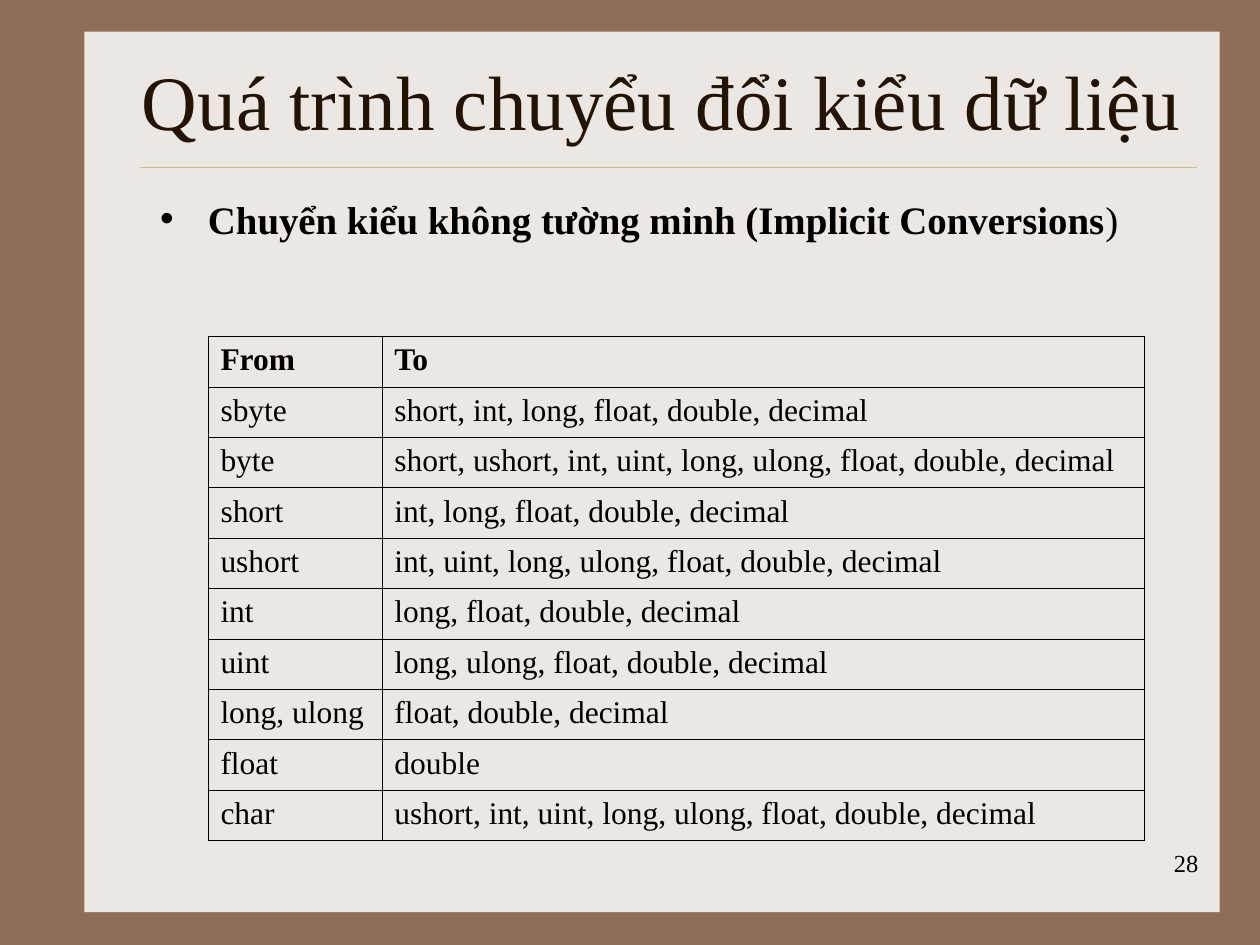
from lxml import etree
from pptx import Presentation
from pptx.dml.color import RGBColor
from pptx.enum.shapes import MSO_CONNECTOR, MSO_SHAPE
from pptx.enum.text import MSO_ANCHOR, MSO_AUTO_SIZE, PP_ALIGN
from pptx.oxml.ns import qn
from pptx.util import Inches, Pt

RECT = MSO_SHAPE.RECTANGLE
LINE = MSO_CONNECTOR.STRAIGHT
MID, TOP = MSO_ANCHOR.MIDDLE, MSO_ANCHOR.TOP
LEFT, MID_X, RIGHT = PP_ALIGN.LEFT, PP_ALIGN.CENTER, PP_ALIGN.RIGHT
FIXED = MSO_AUTO_SIZE.NONE
FONT = "Times New Roman"
HEX = {"back": "906D58", "panel": "EDE7E3", "rule": "CBBD83",
       "title": "221304", "text": "000000"}
COLOR = {name: RGBColor.from_string(code) for name, code in HEX.items()}


def place(shape, left, top, width, height):
    shape.left, shape.top = Inches(left), Inches(top)
    shape.width, shape.height = Inches(width), Inches(height)


def style(par, size, color="text", bold=False, align=LEFT):
    par.alignment = align
    for run in par.runs:
        run.font.name, run.font.size = FONT, Pt(size)
        run.font.bold, run.font.color.rgb = bold, COLOR[color]


prs = Presentation()
prs.slide_width, prs.slide_height = Inches(10), Inches(7.5)
slide = prs.slides.add_slide(prs.slide_layouts[1])
shapes = slide.shapes
slide.background.fill.solid()
slide.background.fill.fore_color.rgb = COLOR["back"]

# Panel and rule, behind the text
panel = shapes.add_shape(RECT, Inches(0.67), Inches(0.25), Inches(9.01), Inches(6.99))
panel.shadow.inherit = False
panel.fill.solid()
panel.fill.fore_color.rgb = COLOR["panel"]
panel.line.fill.background()

rule = shapes.add_connector(LINE, Inches(1.11), Inches(1.33), Inches(9.5), Inches(1.33))
rule.line.color.rgb = COLOR["rule"]
rule.line.width = Pt(0.25)
etree.SubElement(rule._element.spPr, qn("a:effectLst"))

title = shapes.title
for item in (panel, rule):
    title._element.addprevious(item._element)

# Title
place(title, 1, 0.42, 8.5, 0.75)
frame = title.text_frame
frame.text = "Quá trình chuyểu đổi kiểu dữ liệu"
frame.auto_size, frame.vertical_anchor = FIXED, MID
frame.margin_left = frame.margin_right = 0
style(frame.paragraphs[0], 44, "title", align=MID_X)

# Bulleted heading, with a plain closing bracket
body = slide.placeholders[1]
place(body, 1.17, 1.5, 8.33, 0.52)
frame = body.text_frame
frame.auto_size, frame.vertical_anchor = FIXED, TOP
par = frame.paragraphs[0]
par.text = "Chuyển kiểu không tường minh (Implicit Conversions"
par.add_run().text = ")"
par.space_before = Pt(6)
style(par, 22.2, bold=True)
par.runs[-1].font.bold = False
props = par._p.get_or_add_pPr()
props.set("marL", str(Inches(0.38)))
props.set("indent", str(-Inches(0.38)))
etree.SubElement(props, qn("a:buChar")).set("char", "•")

# Conversion table
rows = [
    ("From", "To"),
    ("sbyte", "short, int, long, float, double, decimal"),
    ("byte", "short, ushort, int, uint, long, ulong, float, double, decimal"),
    ("short", "int, long, float, double, decimal"),
    ("ushort", "int, uint, long, ulong, float, double, decimal"),
    ("int", "long, float, double, decimal"),
    ("uint", "long, ulong, float, double, decimal"),
    ("long, ulong", "float, double, decimal"),
    ("float", "double"),
    ("char", "ushort, int, uint, long, ulong, float, double, decimal"),
]
widths = (1.38, 6.05)
high = 0.4
table = shapes.add_table(len(rows), len(widths), Inches(1.65), Inches(2.67),
                         Inches(sum(widths)), Inches(high * len(rows))).table
table.horz_banding = False
for col, width in zip(table.columns, widths):
    col.width = Inches(width)
for r, texts in enumerate(rows):
    table.rows[r].height = Inches(high)
    for c, text in enumerate(texts):
        cell = table.cell(r, c)
        cell.text = text
        style(cell.text_frame.paragraphs[0], 18, bold=r == 0)
        cell.fill.background()
        edges = cell._tc.get_or_add_tcPr()
        for n, side in enumerate(("lnL", "lnR", "lnT", "lnB")):
            edge = etree.Element(qn("a:" + side), w=str(Pt(0.34)))
            fill = etree.SubElement(edge, qn("a:solidFill"))
            etree.SubElement(fill, qn("a:srgbClr"), val=HEX["text"])
            edges.insert(n, edge)

# Page number
page = shapes.add_textbox(Inches(7.53), Inches(6.68), Inches(2.08), Inches(0.5))
page.text_frame.word_wrap = True
page.text_frame.text = "28"
style(page.text_frame.paragraphs[0], 14, align=RIGHT)

prs.save("out.pptx")
